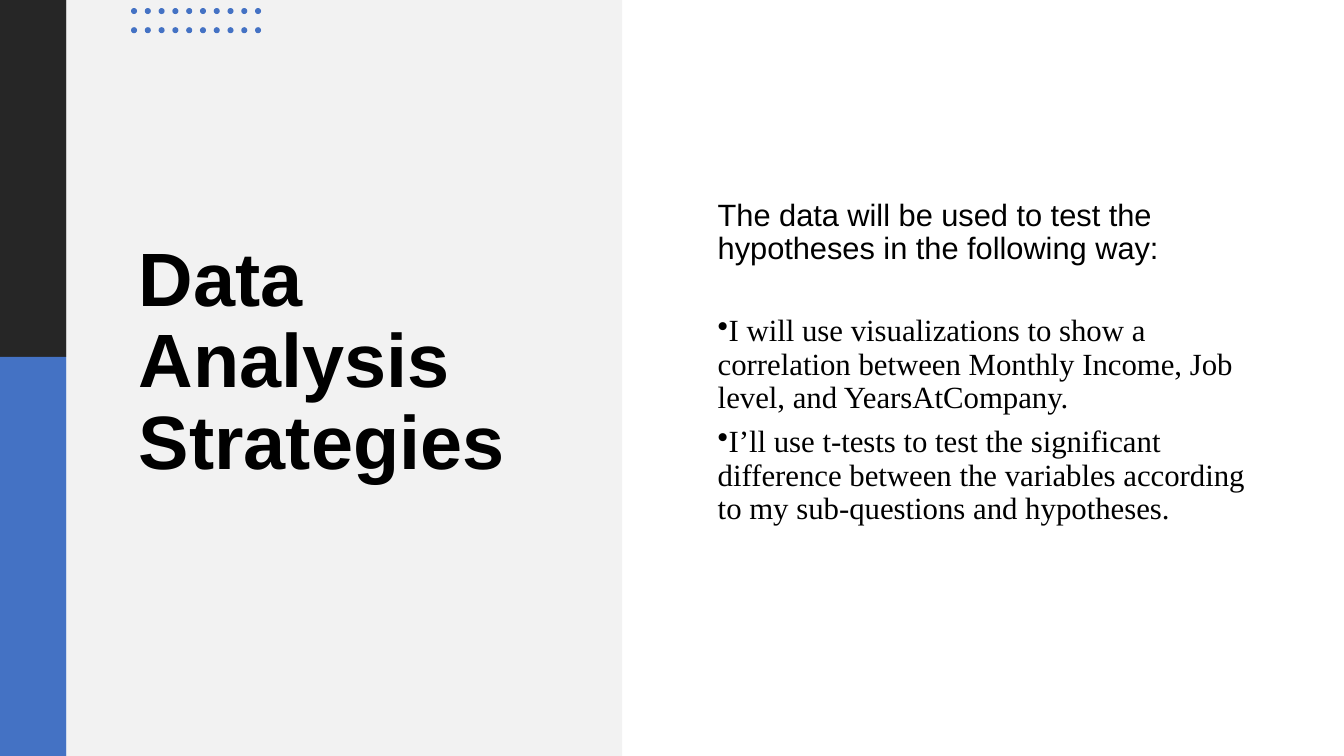
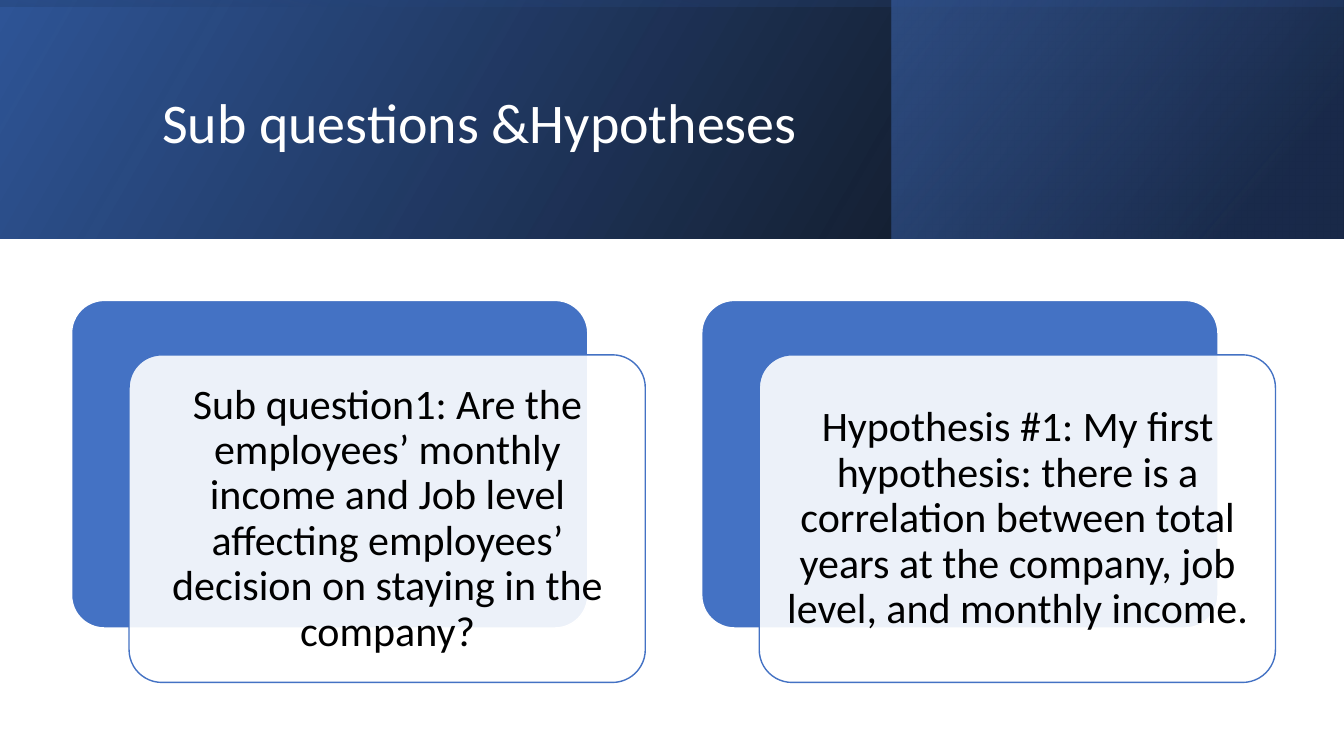
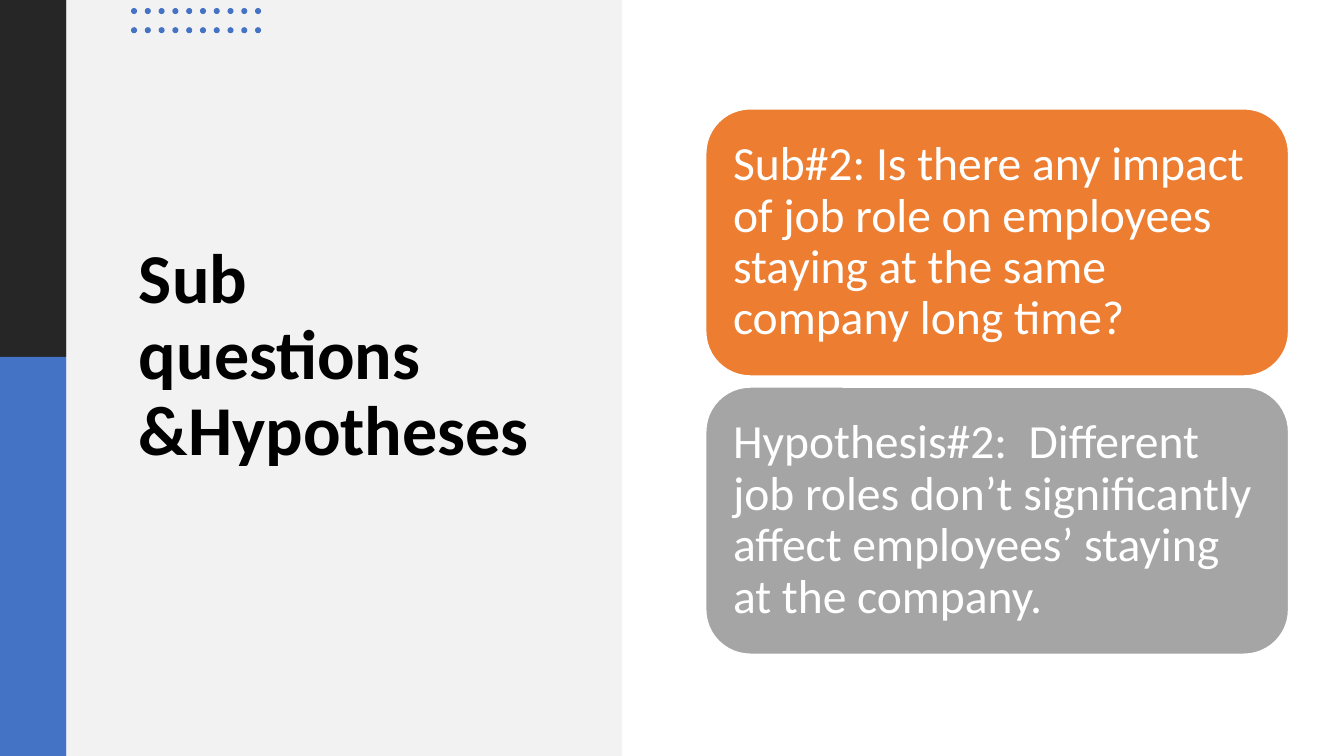
import pptx
import pptx.dml.color
import pptx.enum.shapes
import pptx.enum.text
import pptx.oxml
import pptx.oxml.ns
import pptx.util
from pptx.util import Inches

COLORS = {
    "black": "000000", "white": "FFFFFF", "charcoal": "262626",
    "blue": "4472C4", "deep_blue": "2F5597", "navy": "203864",
    "panel": "F2F2F2", "orange": "ED7D31", "gray": "A5A5A5",
}
SHAPES = pptx.enum.shapes.MSO_SHAPE
ALIGN = pptx.enum.text.PP_ALIGN


def add_box(slide, left, top, width, height, fill, kind=SHAPES.RECTANGLE,
            line=None, opacity=100, corner=None, angle=0):
    """fill is a colour name, or a list of (position, colour, opacity) stops."""
    box = slide.shapes.add_shape(kind, Inches(left), Inches(top), Inches(width), Inches(height))
    box.shadow.inherit = False
    if corner is not None:
        box.adjustments[0] = corner
    if isinstance(fill, list):
        stops = "".join(
            f'<a:gs pos="{position * 1000}"><a:srgbClr val="{COLORS[color]}">'
            f'<a:alpha val="{alpha * 1000}"/></a:srgbClr></a:gs>'
            for position, color, alpha in fill)
        gradient = pptx.oxml.parse_xml(
            f'<a:gradFill {pptx.oxml.ns.nsdecls("a")} rotWithShape="1"><a:gsLst>{stops}</a:gsLst>'
            f'<a:lin ang="{angle * 60000}" scaled="0"/></a:gradFill>')
        box._element.spPr.find(pptx.oxml.ns.qn("a:prstGeom")).addnext(gradient)
    else:
        box.fill.solid()
        box.fill.fore_color.rgb = pptx.dml.color.RGBColor.from_string(COLORS[fill])
        if opacity < 100:
            solid = box._element.spPr.find(pptx.oxml.ns.qn("a:solidFill"))
            solid[0].append(pptx.oxml.parse_xml(
                f'<a:alpha {pptx.oxml.ns.nsdecls("a")} val="{opacity * 1000}"/>'))
    if line:
        box.line.color.rgb = pptx.dml.color.RGBColor.from_string(COLORS[line])
        box.line.width = pptx.util.Pt(1)
    else:
        box.line.fill.background()


def add_text(slide, left, top, width, height, paragraphs, size, color="black",
             font="Calibri", bold=False, align=ALIGN.LEFT, inset=None):
    """paragraphs holds (text, format) pairs; format may set font, before, after, bullet."""
    frame = slide.shapes.add_textbox(
        Inches(left), Inches(top), Inches(width), Inches(height)).text_frame
    frame.word_wrap = True
    frame.vertical_anchor = pptx.enum.text.MSO_ANCHOR.MIDDLE
    if inset is not None:
        frame.margin_left = frame.margin_right = Inches(inset)
        frame.margin_top = frame.margin_bottom = Inches(inset)
    for index, (text, style) in enumerate(paragraphs):
        paragraph = frame.add_paragraph() if index else frame.paragraphs[0]
        paragraph.alignment = align
        paragraph.line_spacing = 0.9
        paragraph.space_before = pptx.util.Pt(style.get("before", 0))
        paragraph.space_after = pptx.util.Pt(style.get("after", 0))
        if style.get("bullet"):
            properties = paragraph._p.get_or_add_pPr()
            properties.set("marL", "0")
            properties.set("indent", str(-Inches(0.25)))
            properties.append(pptx.oxml.parse_xml(
                f'<a:buChar {pptx.oxml.ns.nsdecls("a")} char="•"/>'))
        run = paragraph.add_run()
        run.text = text
        run.font.name = style.get("font", font)
        run.font.size = pptx.util.Pt(size)
        run.font.bold = bold
        run.font.color.rgb = pptx.dml.color.RGBColor.from_string(COLORS[color])


deck = pptx.Presentation()
deck.slide_width, deck.slide_height = Inches(13.33), Inches(7.5)
strategies, first_pair, second_pair = [
    deck.slides.add_slide(deck.slide_layouts[6]) for _ in range(3)]

# Shared side panel with dot grid
for slide in (strategies, second_pair):
    add_box(slide, 0, 0, 0.66, 3.54, "charcoal")
    add_box(slide, 0, 3.54, 0.66, 3.96, "blue")
    add_box(slide, 0.66, 0, 5.51, 7.5, "panel")
    for column in range(10):
        for row in range(2):
            add_box(slide, 1.3 + column * 1.23 / 9, 0.08 + row * 0.19, 0.06, 0.06,
                    "blue", kind=SHAPES.OVAL)

# Slide 1: data analysis strategies
add_text(strategies, 1.28, 1.46, 4.29, 4.29, [("Data Analysis Strategies", {})],
         size=54, font="Arial", bold=True)
add_text(strategies, 7.02, 0.55, 5.58, 6.1, [
    ("The data will be used to test the hypotheses in the following way:",
     {"font": "Arial", "before": 10}),
    ("I will use visualizations to show a correlation between Monthly Income, "
     "Job level, and YearsAtCompany.", {"before": 35, "after": 8, "bullet": True}),
    ("I’ll use t-tests to test the significant difference between the variables "
     "according to my sub-questions and hypotheses.", {"after": 8, "bullet": True}),
], size=22, font="Times New Roman")

# Slide 2: banner of three layered gradients
add_box(first_pair, 0, 0, 13.33, 2.37,
        [(0, "black", 96), (100, "deep_blue", 100)], angle=210)
add_box(first_pair, 8.84, 0, 4.48, 2.37,
        [(19, "navy", 68), (100, "blue", 48)], angle=220)
add_box(first_pair, 0, 0, 13.33, 2.37,
        [(23, "deep_blue", 16), (99, "black", 45)], angle=100)
add_text(first_pair, 1.51, 0.38, 10.63, 1.72, [("Sub questions &Hypotheses", {})],
         size=40, color="white")

# Slide 2: offset cards
cards = [
    "Sub question1: Are the employees’ monthly income and Job level affecting "
    "employees’ decision on staying in the company?",
    "Hypothesis #1: My first hypothesis: there is a correlation between total years "
    "at the company, job level, and monthly income.",
]
for index, statement in enumerate(cards):
    left = 0.71 + index * 6.25
    add_box(first_pair, left, 2.98, 5.12, 3.25, "blue", kind=SHAPES.ROUNDED_RECTANGLE,
            line="white", corner=0.1)
    add_box(first_pair, left + 0.57, 3.52, 5.12, 3.25, "white", kind=SHAPES.ROUNDED_RECTANGLE,
            line="blue", corner=0.1, opacity=90)
    add_text(first_pair, left + 0.67, 3.62, 4.93, 3.06, [(statement, {})],
             size=30, align=ALIGN.CENTER, inset=0.12)

# Slide 3: title and stacked panels
add_text(second_pair, 1.28, 1.31, 4.12, 4.46, [("Sub questions &Hypotheses", {})],
         size=50, bold=True)
panels = [
    ("orange", "Sub#2: Is there any impact of job role on employees staying at the same "
               "company long time?"),
    ("gray", "Hypothesis#2:  Different job roles don’t significantly affect employees’ "
             "staying at the company."),
]
for index, (color, statement) in enumerate(panels):
    top = 1.08 + index * 2.76
    add_box(second_pair, 7, top, 5.78, 2.65, color, kind=SHAPES.ROUNDED_RECTANGLE, line="white")
    add_text(second_pair, 7.13, top + 0.13, 5.52, 2.39, [(statement, {})],
             size=34, color="white", inset=0.14)

deck.save("out.pptx")
